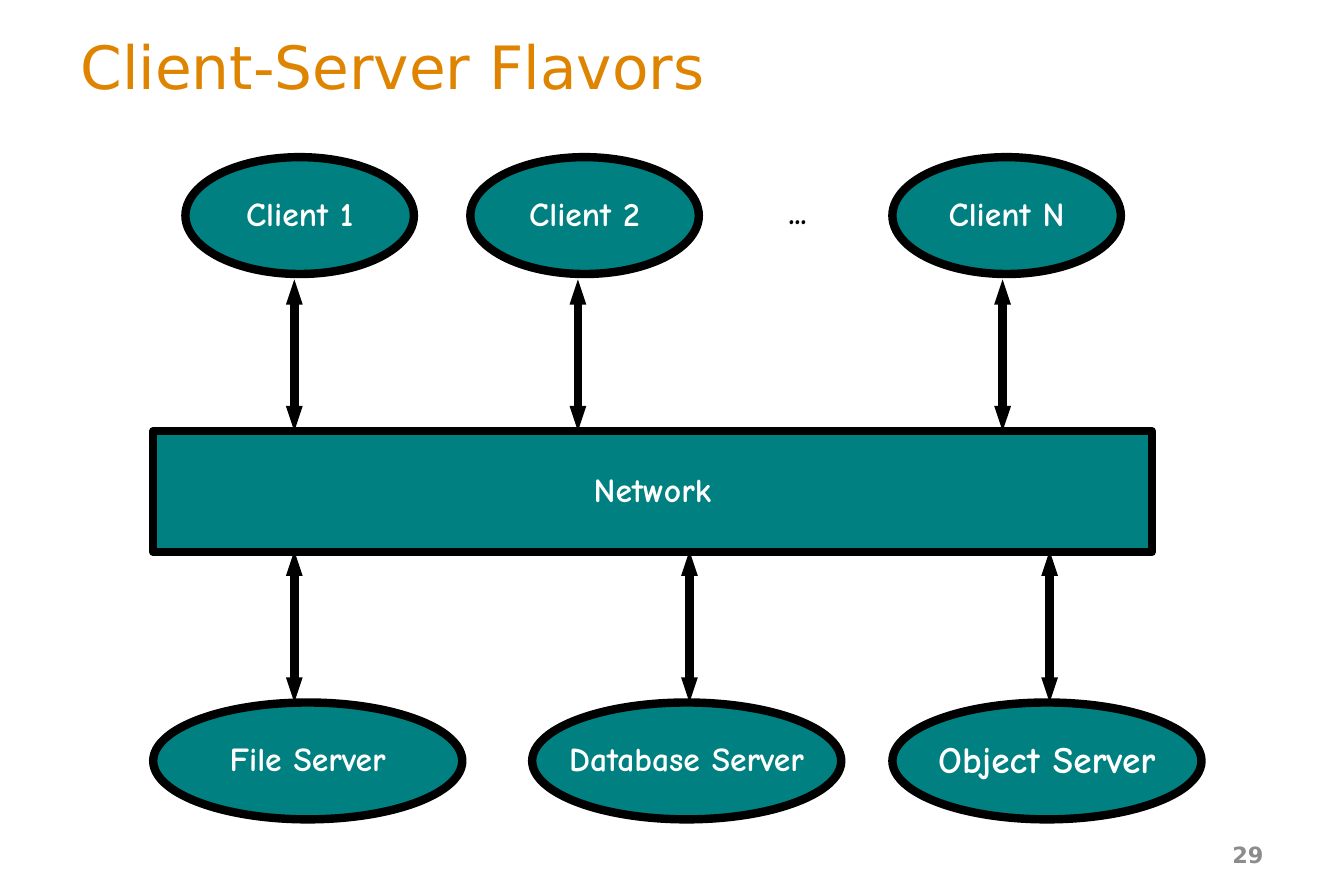
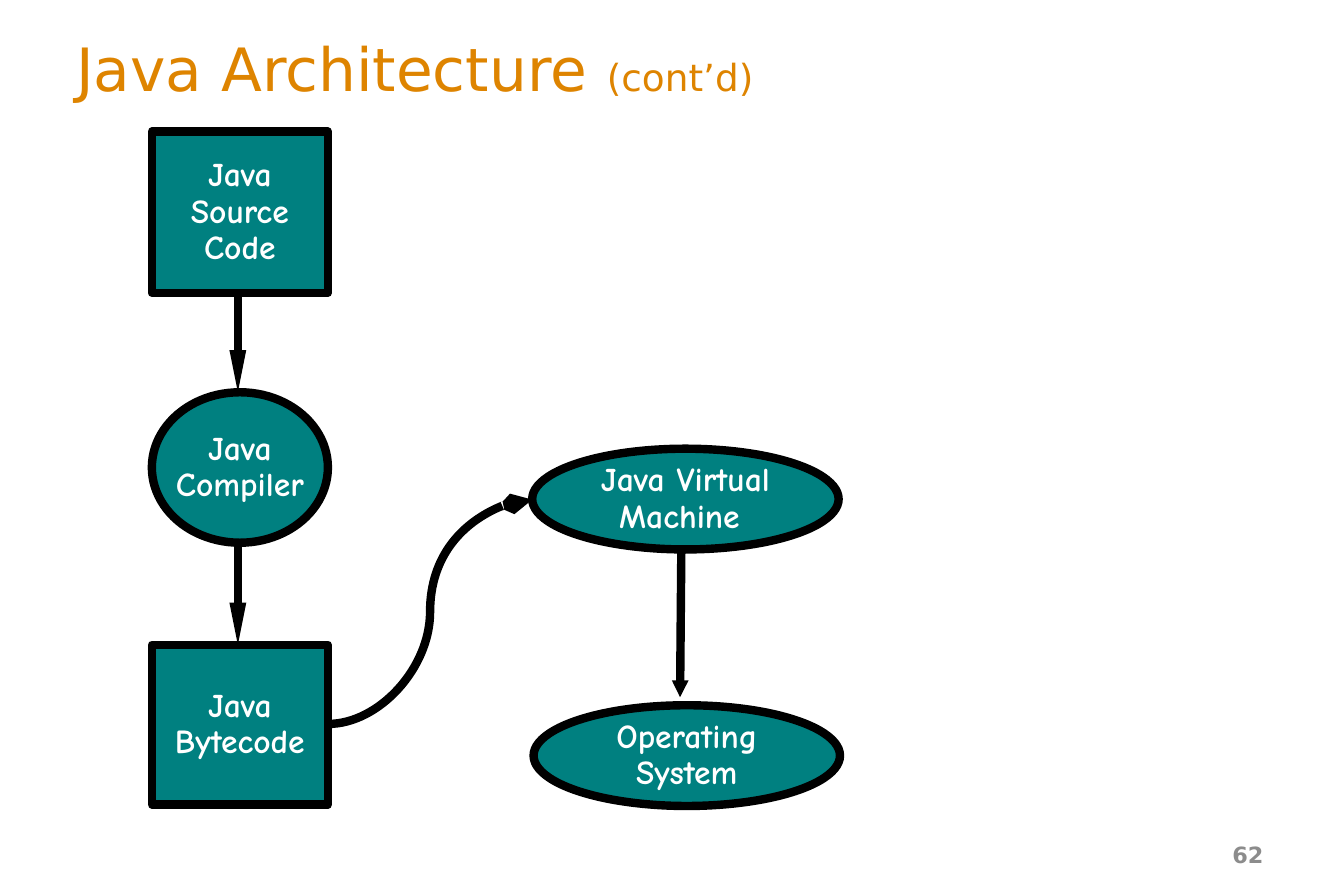
"""Build two slides on client-server flavors and the Java architecture."""
import lxml.etree
import pptx
import pptx.dml.color
import pptx.enum.shapes
import pptx.enum.text
import pptx.oxml.ns
import pptx.util

Inches, Pt = pptx.util.Inches, pptx.util.Pt
ALIGN = pptx.enum.text.PP_ALIGN
SHAPE = pptx.enum.shapes.MSO_SHAPE
CONNECTOR = pptx.enum.shapes.MSO_CONNECTOR

COLORS = {"title": "DE8400", "node": "008080", "outline": "000000",
          "node_text": "FFFFFF", "number": "8C8C8C"}
TITLE_FONT, NODE_FONT = "DejaVu Sans", "Comic Neue"
OUTLINE = 4.5

FLAVORS_TITLE = [("Client-Server Flavors", 32)]
CLIENTS = [("Client 1", 1.38, 2.19), ("Client 2", 3.5, 4.3), ("Client N", 6.64, 7.46)]
SERVERS = [("File Server", 1.14, 2.19, 18), ("Database Server", 3.96, 5.13, 18),
           ("Object Server", 6.64, 7.81, 20)]
CLIENT_TOP, SERVER_TOP, ROW_HEIGHT = 1.17, 5.23, 0.87
NETWORK_BOX = (1.14, 3.21, 7.43, 0.9)
CLIENT_LINK, SERVER_LINK = (2.08, 3.21), (4.1, 5.23)

JAVA_TITLE = [("Java Architecture ", 32), ("(cont’d)", 20)]
JAVA_STEPS = [
    (["Java", "Source", "Code"], SHAPE.RECTANGLE, (1.13, 0.98, 1.31, 1.2)),
    (["Java", "Compiler"], SHAPE.OVAL, (1.13, 2.92, 1.31, 1.12)),
    (["Java", "Bytecode"], SHAPE.RECTANGLE, (1.13, 4.8, 1.31, 1.19)),
    (["Java Virtual", "Machine "], SHAPE.OVAL, (3.96, 3.34, 2.28, 0.75)),
    (["Operating", "System"], SHAPE.OVAL, (3.97, 5.25, 2.28, 0.75)),
]
JAVA_LINKS = [
    (CONNECTOR.STRAIGHT, (1.77, 2.18), (1.77, 2.92), ("triangle", "sm", "lg")),
    (CONNECTOR.STRAIGHT, (1.77, 4.05), (1.77, 4.8), ("triangle", "sm", "lg")),
    (CONNECTOR.CURVE, (2.44, 5.39), (3.96, 3.72), ("arrow", "sm", "med")),
    (CONNECTOR.STRAIGHT, (5.07, 4.06), (5.06, 5.19), ("triangle", "sm", "sm")),
]


def color(key):
    return pptx.dml.color.RGBColor.from_string(COLORS[key])


def add_run(paragraph, words, size, font, color_key, bold=False):
    run = paragraph.add_run()
    run.text = words
    run.font.size, run.font.name, run.font.bold = Pt(size), font, bold
    run.font.color.rgb = color(color_key)


def text_frame(shape, wrap):
    frame = shape.text_frame
    frame.word_wrap = wrap
    frame.vertical_anchor = pptx.enum.text.MSO_ANCHOR.MIDDLE
    return frame


def add_label(shape, lines, size=18, color_key="node_text"):
    frame = text_frame(shape, False)
    for index, line in enumerate(lines):
        paragraph = frame.add_paragraph() if index else frame.paragraphs[0]
        paragraph.alignment, paragraph.line_spacing = ALIGN.CENTER, 0.9
        add_run(paragraph, line, size, NODE_FONT, color_key, True)


def add_node(slide, lines, kind, box, size=18):
    node = slide.shapes.add_shape(kind, *map(Inches, box))
    node.shadow.inherit = False
    node.fill.solid()
    node.fill.fore_color.rgb = color("node")
    node.line.color.rgb = color("outline")
    node.line.width = Pt(OUTLINE)
    add_label(node, lines, size)


def add_link(slide, kind, start, end, arrow, both_ends=False):
    qn = pptx.oxml.ns.qn
    link = slide.shapes.add_connector(kind, *map(Inches, start + end))
    link.line.color.rgb = color("outline")
    link.line.width = Pt(OUTLINE)
    properties = link._element.find(qn("p:spPr"))
    outline = properties.find(qn("a:ln"))
    for tag in ["a:headEnd", "a:tailEnd"] if both_ends else ["a:tailEnd"]:
        lxml.etree.SubElement(outline, qn(tag), dict(zip(("type", "w", "len"), arrow)))
    lxml.etree.SubElement(properties, qn("a:effectLst"))


def add_slide(deck, title, title_corner, number):
    slide = deck.slides.add_slide(deck.slide_layouts[6])
    heading = slide.shapes.add_textbox(*map(Inches, (*title_corner, 9, 0.52)))
    title_line = text_frame(heading, True).paragraphs[0]
    for words, size in title:
        add_run(title_line, words, size, TITLE_FONT, "title")
    footer = slide.shapes.add_textbox(*map(Inches, (7.17, 6.18, 2.33, 0.36)))
    number_line = text_frame(footer, True).paragraphs[0]
    number_line.alignment = ALIGN.RIGHT
    add_run(number_line, number, 12, TITLE_FONT, "number", True)
    return slide


def build_flavors(deck):
    slide = add_slide(deck, FLAVORS_TITLE, (0.5, 0.23), "29")
    links = []
    for name, left, link_x in CLIENTS:
        add_node(slide, [name], SHAPE.OVAL, (left, CLIENT_TOP, 1.7, ROW_HEIGHT))
        links.append((link_x, CLIENT_LINK))
    more_clients = slide.shapes.add_textbox(*map(Inches, (5.66, 1.37, 0.55, 0.44)))
    add_label(more_clients, ["..."], color_key="outline")
    for name, left, link_x, size in SERVERS:
        add_node(slide, [name], SHAPE.OVAL, (left, SERVER_TOP, 2.3, ROW_HEIGHT), size)
        links.append((link_x, SERVER_LINK))
    add_node(slide, ["Network"], SHAPE.RECTANGLE, NETWORK_BOX)
    for x, (top, bottom) in links:
        add_link(slide, CONNECTOR.STRAIGHT, (x, top), (x, bottom),
                 ("triangle", "sm", "med"), both_ends=True)


def build_java(deck):
    slide = add_slide(deck, JAVA_TITLE, (0.47, 0.24), "62")
    for step in JAVA_STEPS:
        add_node(slide, *step)
    for link in JAVA_LINKS:
        add_link(slide, *link)


def main():
    deck = pptx.Presentation()
    deck.slide_width, deck.slide_height = Inches(10), Inches(6.67)
    build_flavors(deck)
    build_java(deck)
    deck.save("out.pptx")


if __name__ == "__main__":
    main()
